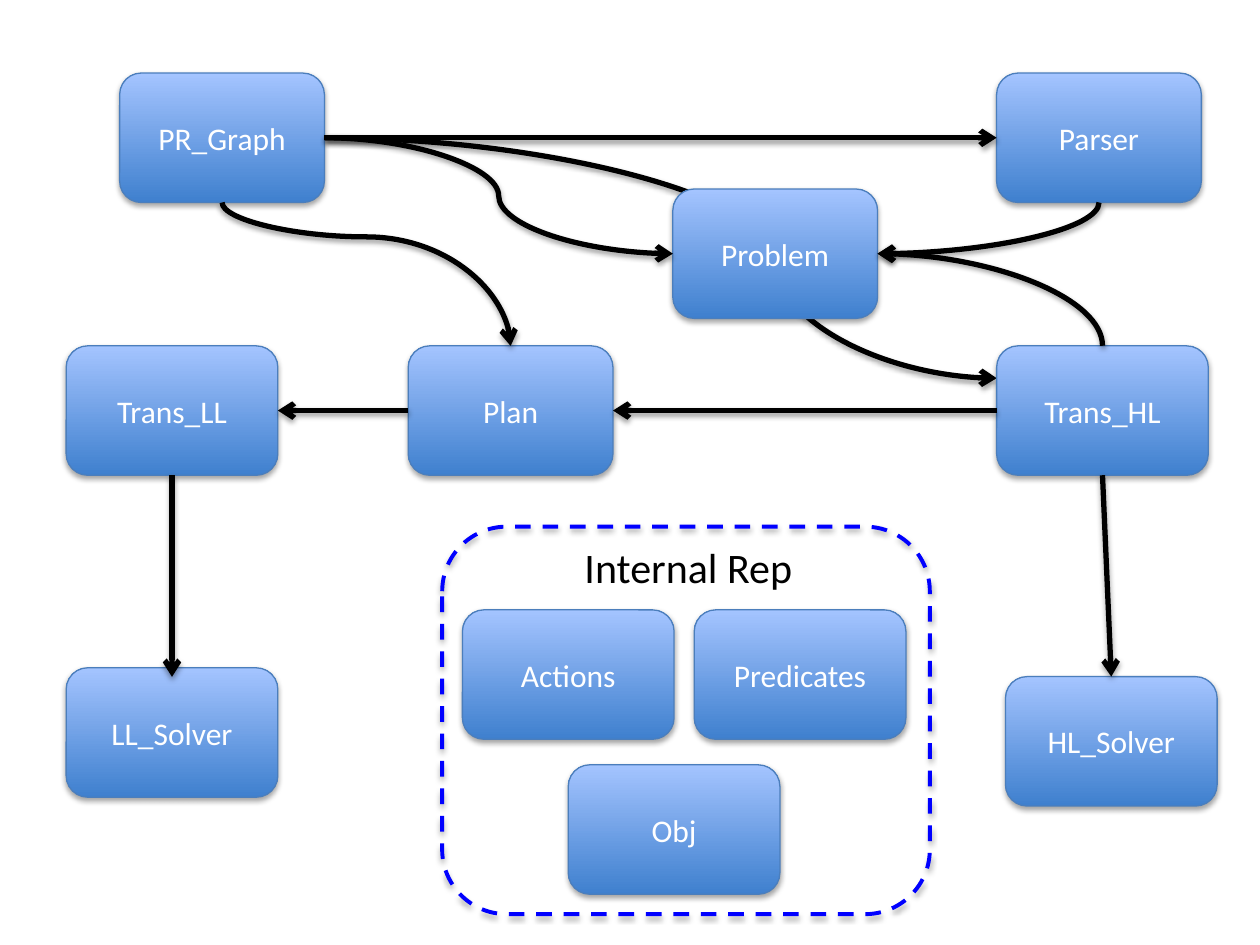
from lxml import etree
from pptx import Presentation, util as u
from pptx.dml.color import RGBColor
from pptx.enum import dml, shapes, text
from pptx.oxml import ns

COLS, ROWS = 100, 75
NARROW, WIDE, TALL = 16.25, 16.8, 10.27

BOXES = {
    "PR_Graph": (9.5, 5.8, NARROW),
    "Plan": (32.4, 27.45, NARROW),
    "Trans_LL": (5.25, 27.45, WIDE),
    "Trans_HL": (79.1, 27.45, WIDE),
    "LL_Solver": (5.25, 53, WIDE),
    "HL_Solver": (79.8, 53.7, WIDE),
    "Actions": (36.7, 48.4, WIDE),
    "Predicates": (55.1, 48.4, WIDE),
    "Obj": (45.1, 60.7, WIDE),
    "Problem": (53.4, 15, NARROW),
    "Parser": (79.1, 5.8, NARROW),
}

LEFT, RIGHT, TOP, BOTTOM = (0, 0.5), (1, 0.5), (0.5, 0), (0.5, 1)
UPPER_LEFT, INSIDE_TOP = (0, 0.25), (0.5, 0.07)

STRAIGHT = [
    ("PR_Graph", RIGHT, "Parser", LEFT),
    ("Plan", LEFT, "Trans_LL", RIGHT),
    ("Trans_LL", BOTTOM, "LL_Solver", INSIDE_TOP),
    ("Trans_HL", LEFT, "Plan", RIGHT),
    ("Trans_HL", BOTTOM, "HL_Solver", TOP),
]
CURVED = [
    ("PR_Graph", BOTTOM, "Plan", TOP, 0.24),
    ("Parser", BOTTOM, "Problem", RIGHT, None),
    ("PR_Graph", RIGHT, "Problem", LEFT, 0.5),
    ("Trans_HL", TOP, "Problem", RIGHT, None),
]


def rgb(value):
    """Turn a hex string into a colour."""
    return RGBColor.from_string(value)


def anchor(name, side):
    """Return the grid point at a share of a box's width and height."""
    col, row, width = BOXES[name]
    return col + side[0] * width, row + side[1] * TALL


class Diagram:
    """Holds the style and the current slide."""

    font, ink, paper = "Calibri", "000000", "FFFFFF"
    dark, light, edge, frame_line = "3F80CE", "A4C4FF", "4B7EBC", "0000FF"

    def __init__(self, prs):
        """Add a blank slide and measure its grid."""
        self.slide = prs.slides.add_slide(prs.slide_layouts[6])
        self.col = prs.slide_width / COLS
        self.row = prs.slide_height / ROWS

    def place(self, col, row, width, height):
        """Turn grid units into slide lengths."""
        return (u.Emu(round(col * self.col)), u.Emu(round(row * self.row)),
                u.Emu(round(width * self.col)), u.Emu(round(height * self.row)))

    def shadow(self, sp, distance, alpha):
        """Give a shape or connector a soft shadow below it."""
        effects = etree.SubElement(sp._element.spPr, ns.qn("a:effectLst"))
        outer = etree.SubElement(effects, ns.qn("a:outerShdw"), blurRad="40000",
                                 dist=str(distance), dir="5400000", rotWithShape="0")
        colour = etree.SubElement(outer, ns.qn("a:srgbClr"), val=self.ink)
        etree.SubElement(colour, ns.qn("a:alpha"), val=str(alpha * 1000))

    def caption(self, sp, words, size, colour, align):
        """Put one styled line of text in a shape."""
        tf = sp.text_frame
        tf.word_wrap = True
        tf.text = words
        p = tf.paragraphs[0]
        p.alignment = align
        font = p.runs[0].font
        font.name, font.size, font.color.rgb = self.font, u.Pt(size), rgb(colour)

    def rounded(self, area, line, weight):
        """Add a rounded rectangle with an outline."""
        sp = self.slide.shapes.add_shape(shapes.MSO_SHAPE.ROUNDED_RECTANGLE, *self.place(*area))
        sp.line.color.rgb = rgb(line)
        sp.line.width = u.Pt(weight)
        return sp

    def box(self, name):
        """Add a labelled gradient box."""
        sp = self.rounded((*BOXES[name], TALL), self.edge, 0.75)
        sp.fill.gradient()
        sp.fill.gradient_angle = 90
        for stop, colour in zip(sp.fill.gradient_stops, (self.dark, self.light)):
            stop.color.rgb = rgb(colour)
        self.shadow(sp, 23000, 35)
        self.caption(sp, name, 18, self.paper, text.PP_ALIGN.CENTER)
        sp.text_frame.vertical_anchor = text.MSO_ANCHOR.MIDDLE

    def frame(self, *area):
        """Add a dashed, unfilled frame."""
        sp = self.rounded(area, self.frame_line, 2.25)
        sp.fill.background()
        sp.line.dash_style = dml.MSO_LINE.DASH
        self.shadow(sp, 23000, 35)

    def label(self, words, *area):
        """Add a heading in a text box."""
        sp = self.slide.shapes.add_textbox(*self.place(*area))
        self.caption(sp, words, 24, self.ink, text.PP_ALIGN.LEFT)

    def arrow(self, kind, start, end):
        """Add an arrow between two grid points."""
        line = self.slide.shapes.add_connector(kind, *self.place(*start, *end))
        line.line.color.rgb = rgb(self.ink)
        line.line.width = u.Pt(3)
        ln = line._element.spPr.find(ns.qn("a:ln"))
        etree.SubElement(ln, ns.qn("a:tailEnd"), type="arrow")
        self.shadow(line, 20000, 38)
        return line

    def straight(self, source, out, target, into):
        """Join two boxes with a straight arrow."""
        self.arrow(shapes.MSO_CONNECTOR.STRAIGHT, anchor(source, out), anchor(target, into))

    def curve(self, source, out, target, into, bend):
        """Join two boxes with a curve, turned when it leaves vertically."""
        (x1, y1), (x2, y2) = anchor(source, out), anchor(target, into)
        dx, dy, turn = x2 - x1, y2 - y1, 0
        if out in (TOP, BOTTOM):
            turn = 90 if dx < 0 < dy else 270
            dx, dy = (dy, -dx) if turn == 90 else (-dy, dx)
        mx, my = (x1 + x2) / 2, (y1 + y2) / 2
        line = self.arrow(shapes.MSO_CONNECTOR.CURVE, (mx - dx / 2, my - dy / 2),
                          (mx + dx / 2, my + dy / 2))
        props = line._element.spPr
        if turn:
            props.find(ns.qn("a:xfrm")).set("rot", str(turn * 60000))
        geometry = props.find(ns.qn("a:prstGeom"))
        if bend is None:
            geometry.set("prst", "curvedConnector2")
        else:
            guides = geometry.find(ns.qn("a:avLst"))
            etree.SubElement(guides, ns.qn("a:gd"), name="adj1",
                             fmla=f"val {round(bend * 100000)}")


def main():
    """Build the component diagram."""
    prs = Presentation()
    prs.slide_width, prs.slide_height = u.Inches(10), u.Inches(7.5)
    s = Diagram(prs)
    s.curve("PR_Graph", RIGHT, "Trans_HL", UPPER_LEFT, 0.67)
    for name in BOXES:
        s.box(name)
    s.frame(35.1, 41.8, 38.7, 30.75)
    s.label("Internal Rep", 45.4, 42.5, 18.9, 5)
    for link in STRAIGHT:
        s.straight(*link)
    for link in CURVED:
        s.curve(*link)
    prs.save("out.pptx")


if __name__ == "__main__":
    main()
